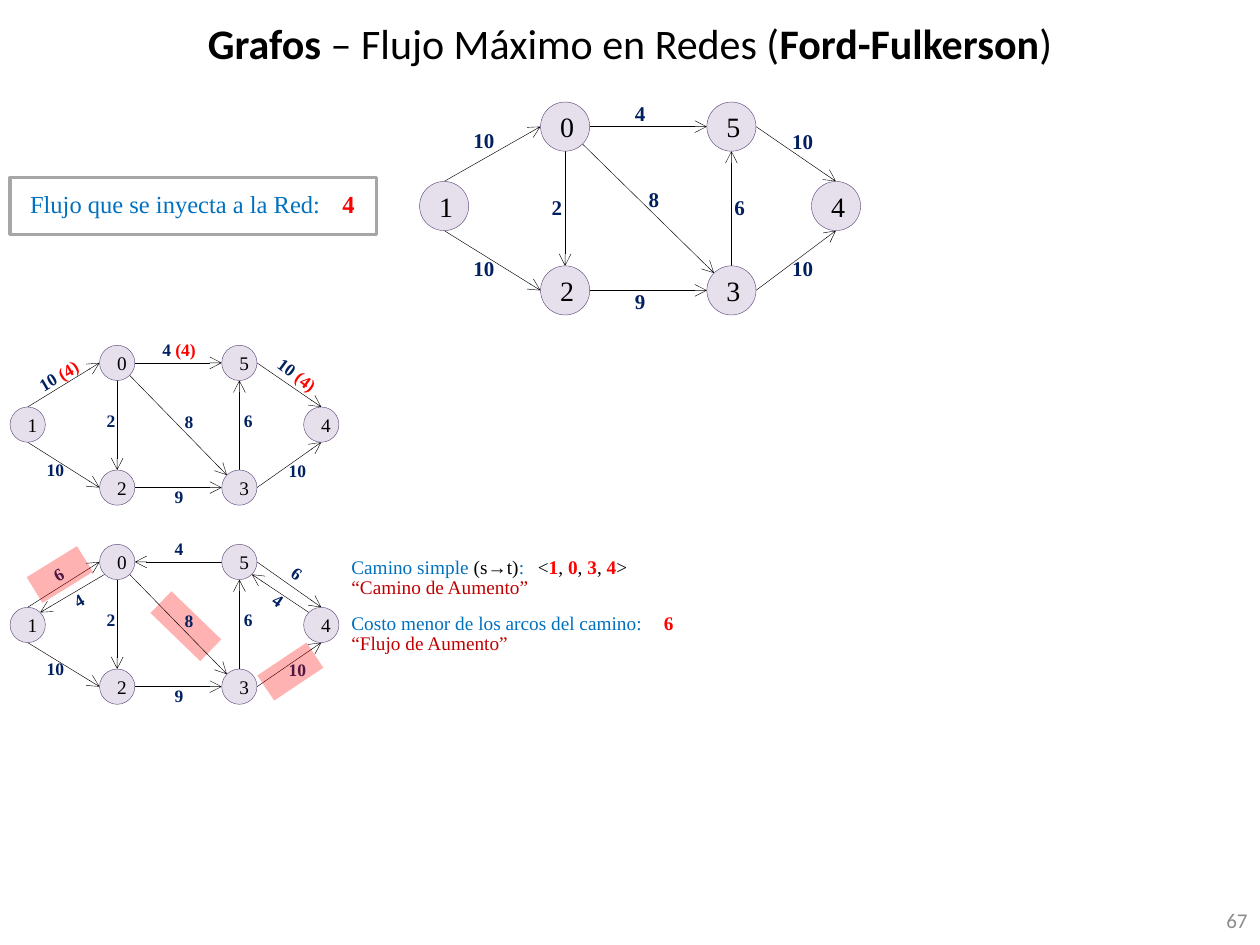
"""Build a slide that walks through one augmenting step of Ford-Fulkerson."""
from math import cos, radians, sin

from lxml import etree
from pptx import Presentation
from pptx.dml.color import RGBColor
from pptx.enum.shapes import MSO_CONNECTOR, MSO_SHAPE
from pptx.enum.text import MSO_ANCHOR, PP_ALIGN
from pptx.oxml.ns import qn
from pptx.util import Inches, Pt

LEFT, CENTER, RIGHT = PP_ALIGN.LEFT, PP_ALIGN.CENTER, PP_ALIGN.RIGHT
MIDDLE = MSO_ANCHOR.MIDDLE
OVAL, RECTANGLE = MSO_SHAPE.OVAL, MSO_SHAPE.RECTANGLE
STRAIGHT = MSO_CONNECTOR.STRAIGHT

BLACK = RGBColor(0x00, 0x00, 0x00)
RED = RGBColor(0xFF, 0x00, 0x00)
DARK_RED = RGBColor(0xC0, 0x00, 0x00)
BLUE = RGBColor(0x00, 0x70, 0xC0)
NAVY = RGBColor(0x00, 0x20, 0x60)
LILAC = RGBColor(0xE6, 0xE0, 0xEC)
PURPLE = RGBColor(0x60, 0x4A, 0x7B)
FRAME_GRAY = RGBColor(0xA6, 0xA6, 0xA6)
NUMBER_GRAY = RGBColor(0x8C, 0x8C, 0x8C)
SERIF, SANS = "Times New Roman", "Calibri"

NODE_CELLS = {1: (0, 1), 2: (1, 2), 0: (1, 0), 5: (2, 0), 4: (3, 1), 3: (2, 2)}
EAST, SOUTHEAST, SOUTH, SOUTHWEST, WEST, NORTHWEST, NORTH, NORTHEAST = range(0, 360, 45)

SHARED_EDGES = [
    (1, NORTH, 0, WEST), (0, SOUTH, 2, NORTH), (2, EAST, 3, WEST),
    (0, SOUTHEAST, 3, NORTHWEST), (3, NORTH, 5, SOUTH), (5, EAST, 4, NORTH),
    (3, EAST, 4, SOUTH), (1, SOUTH, 2, WEST),
]
FORWARD_EDGES = SHARED_EDGES + [(0, EAST, 5, WEST)]
RESIDUAL_EDGES = SHARED_EDGES + [
    (5, WEST, 0, EAST), (0, SOUTHWEST, 1, NORTHEAST), (4, NORTHWEST, 5, SOUTHEAST),
]

NETWORK_LABELS = [
    ("10", "", 3.84, 0.35, 0), ("10", "", 3.84, 1.37, 0), ("9", "", 5.08, 1.63, 0),
    ("2", "", 4.42, 0.88, 0), ("8", "", 5.19, 0.82, 0), ("4", "", 5.08, 0.14, 0),
    ("10", "", 6.37, 0.36, 0), ("10", "", 6.37, 1.37, 0), ("6", "", 5.87, 0.88, 0),
]
SMALL_LABELS = [
    ("10", "", 0.44, 1.02, 0), ("9", "", 1.42, 1.23, 0), ("2", "", 0.88, 0.63, 0),
    ("8", "", 1.5, 0.64, 0), ("6", "", 1.97, 0.63, 0), ("10", "", 2.36, 1.03, 0),
]
FLOW_LABELS = SMALL_LABELS + [
    ("4 ", "(4)", 1.42, 0.07, 0), ("10 ", "(4)", 2.34, 0.26, 36.5),
    ("10 ", "(4)", 0.48, 0.27, 329.5),
]
RESIDUAL_LABELS = SMALL_LABELS + [
    ("4", "", 1.42, 0.07, 0), ("6", "", 0.48, 0.27, 329.5), ("4", "", 0.64, 0.47, 329.5),
    ("6", "", 2.34, 0.26, 35), ("4", "", 2.19, 0.47, 34.3),
]
MIDDLE_HIGHLIGHT = [(1.2, 4.85, 0.55, 44)]
SIDE_HIGHLIGHTS = [(0.24, 4.44, 0.47, 328.3), (2.07, 5.21, 0.47, 326.2)]

SMALL_COLUMNS = [0.08, 0.79, 1.76, 2.41]
GRAPHS = [
    ([3.33, 4.29, 5.61, 6.44], [0.81, 1.44, 2.11], 0.39, 16, 12,
     FORWARD_EDGES, NETWORK_LABELS, [], []),
    (SMALL_COLUMNS, [2.74, 3.23, 3.73], 0.28, 11, 10, FORWARD_EDGES, FLOW_LABELS, [], []),
    (SMALL_COLUMNS, [4.32, 4.82, 5.31], 0.28, 11, 10,
     RESIDUAL_EDGES, RESIDUAL_LABELS, MIDDLE_HIGHLIGHT, SIDE_HIGHLIGHTS),
]


def write(shape, runs, size, font=SERIF, alignment=LEFT):
    """Fill the first paragraph with (text, colour, bold) runs."""
    shape.text_frame.word_wrap = True
    paragraph = shape.text_frame.paragraphs[0]
    paragraph.alignment = alignment
    paragraph.font.name = font
    paragraph.font.size = Pt(size)
    for text, color, bold in runs:
        run = paragraph.add_run()
        run.text = text
        run.font.color.rgb = color
        run.font.bold = bold
    return paragraph


def add_highlights(slide, highlights):
    """Lay translucent red bars over the arcs of the augmenting path."""
    for left, top, width, rotation in highlights:
        bar = slide.shapes.add_shape(
            RECTANGLE, Inches(left), Inches(top), Inches(width), Inches(0.24))
        bar.rotation = rotation
        bar.shadow.inherit = False
        bar.line.fill.background()
        bar.fill.solid()
        bar.fill.fore_color.rgb = RED
        color = bar._element.spPr.find(qn("a:solidFill"))[0]
        etree.SubElement(color, qn("a:alpha"), val="30000")


presentation = Presentation()
presentation.slide_width, presentation.slide_height = Inches(10), Inches(7.5)
slide = presentation.slides.add_slide(presentation.slide_layouts[5])

title = slide.shapes.title
title.left, title.top = 0, 0
title.width, title.height = presentation.slide_width, Inches(0.67)
title.text_frame.vertical_anchor = MIDDLE
write(title, [("Grafos ", BLACK, True), ("– Flujo Máximo en Redes (", BLACK, False),
              ("Ford-Fulkerson", BLACK, True), (")", BLACK, False)], 24, SANS, CENTER)

for columns, rows, diameter, node_size, label_size, edges, labels, under, over in GRAPHS:
    add_highlights(slide, under)
    radius = diameter / 2
    for start, start_angle, end, end_angle in edges:
        points = []
        for node, angle in ((start, start_angle), (end, end_angle)):
            column, row = NODE_CELLS[node]
            points.append(Inches(columns[column] + radius + radius * cos(radians(angle))))
            points.append(Inches(rows[row] + radius + radius * sin(radians(angle))))
        arrow = slide.shapes.add_connector(STRAIGHT, *points)
        arrow.line.color.rgb = BLACK
        arrow.line.width = Pt(0.25)
        etree.SubElement(arrow.line._get_or_add_ln(), qn("a:tailEnd"), type="arrow")
        etree.SubElement(arrow._element.spPr, qn("a:effectLst"))

    for capacity, flow, center, middle, rotation in labels:
        label = slide.shapes.add_textbox(
            Inches(center - 0.295), Inches(rows[0] + middle - 0.11), Inches(0.59), Inches(0.22))
        label.rotation = rotation
        runs = [(capacity, NAVY, True)] + ([(flow, RED, True)] if flow else [])
        write(label, runs, label_size, alignment=CENTER).line_spacing = Pt(8)

    for name, (column, row) in NODE_CELLS.items():
        node = slide.shapes.add_shape(
            OVAL, Inches(columns[column]), Inches(rows[row]), Inches(diameter), Inches(diameter))
        node.shadow.inherit = False
        node.fill.solid()
        node.fill.fore_color.rgb = LILAC
        node.line.color.rgb = PURPLE
        node.line.width = Pt(0.25)
        node.text_frame.vertical_anchor = MIDDLE
        write(node, [(str(name), BLACK, False)], node_size, alignment=CENTER)
    add_highlights(slide, over)

path_runs = [("<", BLACK, False)]
for stop, separator in zip("1034", (", ", ", ", ", ", ">")):
    path_runs += [(stop, RED, True), (separator, BLACK, False)]

NOTES = [
    (2.69, 4.36, 1.72, 11, [("Camino simple ", BLUE, False), ("(s→t)", BLACK, False),
                            (":", BLUE, False)]),
    (4.17, 4.36, 0.96, 11, path_runs),
    (2.69, 4.52, 1.72, 11, [("“Camino de Aumento”", DARK_RED, False)]),
    (2.69, 4.8, 2.64, 11, [("Costo menor de los arcos del camino:", BLUE, False)]),
    (5.17, 4.8, 0.29, 11, [("6", RED, True)]),
    (2.69, 4.96, 1.72, 11, [("“Flujo de Aumento”", DARK_RED, False)]),
    (0.14, 1.45, 2.6, 14, [("Flujo que se inyecta a la Red:", BLUE, False)]),
    (2.62, 1.45, 0.3, 14, [("4", RED, True)]),
]
for left, top, width, size, runs in NOTES:
    note = slide.shapes.add_textbox(Inches(left), Inches(top), Inches(width), Inches(size / 40))
    write(note, runs, size)

frame = slide.shapes.add_shape(RECTANGLE, Inches(0.08), Inches(1.41), Inches(2.91), Inches(0.45))
frame.shadow.inherit = False
frame.fill.background()
frame.line.color.rgb = FRAME_GRAY
frame.line.width = Pt(2)

slide_number = slide.shapes.add_textbox(Inches(9.58), Inches(7.1), Inches(0.42), Inches(0.4))
slide_number.text_frame.vertical_anchor = MIDDLE
write(slide_number, [("67", NUMBER_GRAY, False)], 12, SANS, RIGHT)

presentation.save("out.pptx")
